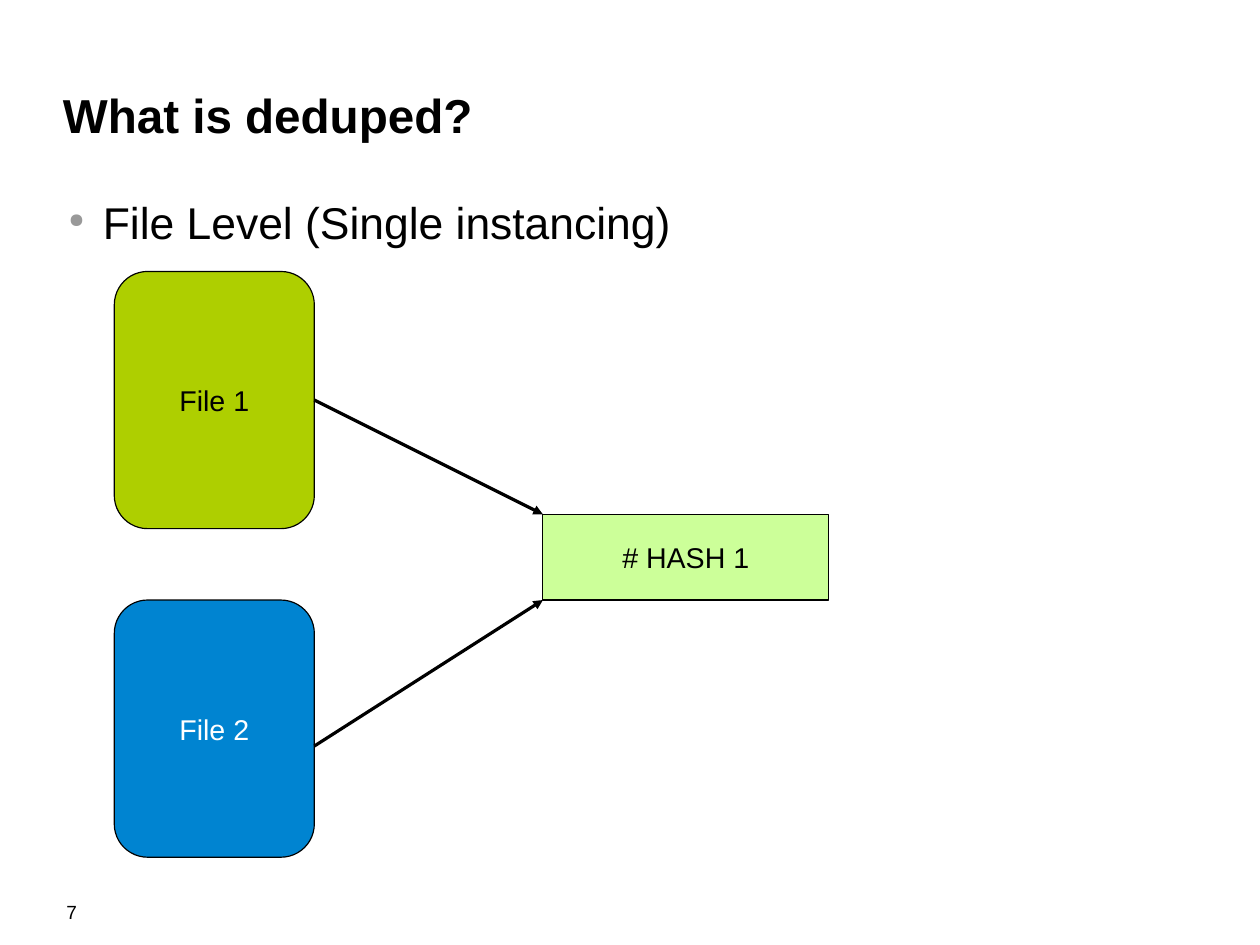
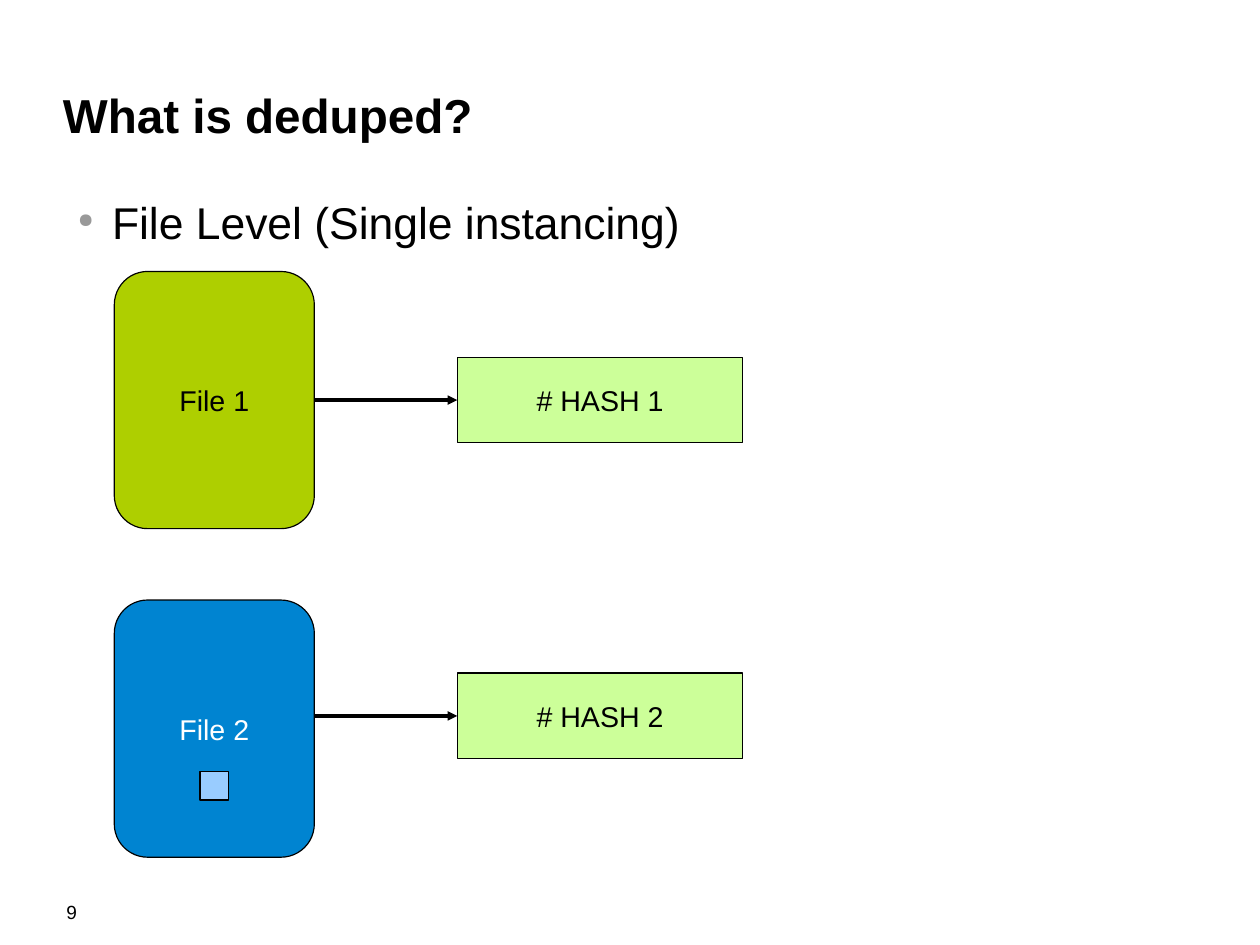
"""Build two slides that show how file-level deduplication hashes files."""
from dataclasses import dataclass

from lxml.etree import SubElement
from pptx import Presentation
from pptx.dml.color import RGBColor
from pptx.enum.shapes import MSO_CONNECTOR, MSO_SHAPE
from pptx.enum.text import MSO_ANCHOR, PP_ALIGN
from pptx.oxml.ns import qn
from pptx.util import Pt

FONT = "Arial"
BLACK, WHITE, GREY = "000000", "FFFFFF", "999999"
LIME, BLUE, MINT, SKY = "AECF00", "0084D1", "CCFF99", "99CCFF"


@dataclass(frozen=True)
class Box:
    left: float
    top: float
    width: float
    height: float
    fill: str
    text: str = ""
    ink: str = BLACK
    kind: MSO_SHAPE = MSO_SHAPE.RECTANGLE

    @property
    def east(self) -> tuple[float, float]:
        return self.left + self.width, self.top + self.height / 2

    @property
    def west(self) -> tuple[float, float]:
        return self.left, self.top + self.height / 2


@dataclass(frozen=True)
class Arrow:
    start: tuple[float, float]
    end: tuple[float, float]


@dataclass(frozen=True)
class Page:
    number: str
    indent: float
    boxes: list[Box]
    arrows: list[Arrow]


def color(code: str) -> RGBColor:
    return RGBColor.from_string(code)


def style(para, size: float, ink: str = BLACK, bold: bool = False) -> None:
    font = para.font
    font.name, font.size, font.bold = FONT, Pt(size), bold
    font.color.rgb = color(ink)


def add_text(slide, text: str, left: float, top: float, width: float,
             height: float, anchor: MSO_ANCHOR = MSO_ANCHOR.TOP):
    frame = slide.shapes.add_textbox(
        Pt(left), Pt(top), Pt(width), Pt(height)).text_frame
    frame.word_wrap = True
    frame.vertical_anchor = anchor
    frame.margin_left = frame.margin_right = Pt(0)
    frame.margin_top = frame.margin_bottom = Pt(0)
    para = frame.paragraphs[0]
    para.text = text
    return para


def add_bullet(para) -> None:
    para.space_after = Pt(14.2)
    props = para._p.get_or_add_pPr()
    props.set("marL", str(Pt(28.8)))
    props.set("indent", str(Pt(-21.6)))
    tint = SubElement(props, qn("a:buClr"))
    SubElement(tint, qn("a:srgbClr"), val=GREY)
    SubElement(props, qn("a:buSzPct"), val="45000")
    SubElement(props, qn("a:buChar"), char="●")


def add_box(slide, box: Box):
    shape = slide.shapes.add_shape(
        box.kind, Pt(box.left), Pt(box.top), Pt(box.width), Pt(box.height))
    shape.shadow.inherit = False
    shape.fill.solid()
    shape.fill.fore_color.rgb = color(box.fill)
    shape.line.color.rgb = color(BLACK)
    shape.line.width = Pt(0)
    if box.text:
        frame = shape.text_frame
        frame.word_wrap = False
        frame.vertical_anchor = MSO_ANCHOR.MIDDLE
        para = frame.paragraphs[0]
        para.text = box.text
        para.alignment = PP_ALIGN.CENTER
        style(para, 18, box.ink)
    return shape


def add_arrow(slide, arrow: Arrow, drawn: list) -> None:
    ends = [Pt(value) for value in arrow.start + arrow.end]
    line = slide.shapes.add_connector(MSO_CONNECTOR.STRAIGHT, *ends)
    for box, shape in drawn:
        if box.east == arrow.start:
            line.begin_connect(shape, 3)
        if box.west == arrow.end:
            line.end_connect(shape, 1)
    line.line.color.rgb = color(BLACK)
    line.line.width = Pt(0)
    SubElement(line.line._get_or_add_ln(), qn("a:tailEnd"), type="triangle")
    SubElement(line._element.spPr, qn("a:effectLst"))


def add_page(deck, page: Page) -> None:
    slide = deck.slides.add_slide(deck.slide_layouts[6])
    style(add_text(slide, page.number, 41.8, 567.4, 90, 18), 12)
    title = add_text(slide, "What is deduped?", 39.6, 18, 644.4, 108,
                     MSO_ANCHOR.MIDDLE)
    style(title, 30, bold=True)
    body = add_text(slide, "File Level (Single instancing)",
                    page.indent, 123, 714, 381)
    add_bullet(body)
    style(body, 28)
    drawn = [(box, add_box(slide, box)) for box in page.boxes]
    for arrow in page.arrows:
        add_arrow(slide, arrow, drawn)


def file_box(top: float, fill: str, text: str, ink: str) -> Box:
    return Box(72, top, 126, 162, fill, text, ink,
               MSO_SHAPE.ROUNDED_RECTANGLE)


def hash_box(left: float, top: float, text: str) -> Box:
    return Box(left, top, 180, 54, MINT, text)


def main() -> None:
    deck = Presentation()
    deck.slide_width, deck.slide_height = Pt(793.7), Pt(595.3)
    one = file_box(171, LIME, "File 1", BLACK)
    two = file_box(378, BLUE, "File 2", WHITE)
    side = one.east[0]
    both = hash_box(342, 324, "# HASH 1")
    first = hash_box(288, 225, "# HASH 1")
    second = hash_box(288, 424, "# HASH 2")
    change = Box(126, 486, 18, 18, SKY)
    pages = [
        Page("7", 36, [one, both, two], [
            Arrow(one.east, (both.left, both.top)),
            Arrow((side, 470), (both.left, both.top + both.height)),
        ]),
        Page("9", 41.8, [one, first, two, change, second], [
            Arrow(one.east, first.west),
            Arrow((side, second.west[1]), second.west),
        ]),
    ]
    for page in pages:
        add_page(deck, page)
    deck.save("out.pptx")


if __name__ == "__main__":
    main()
